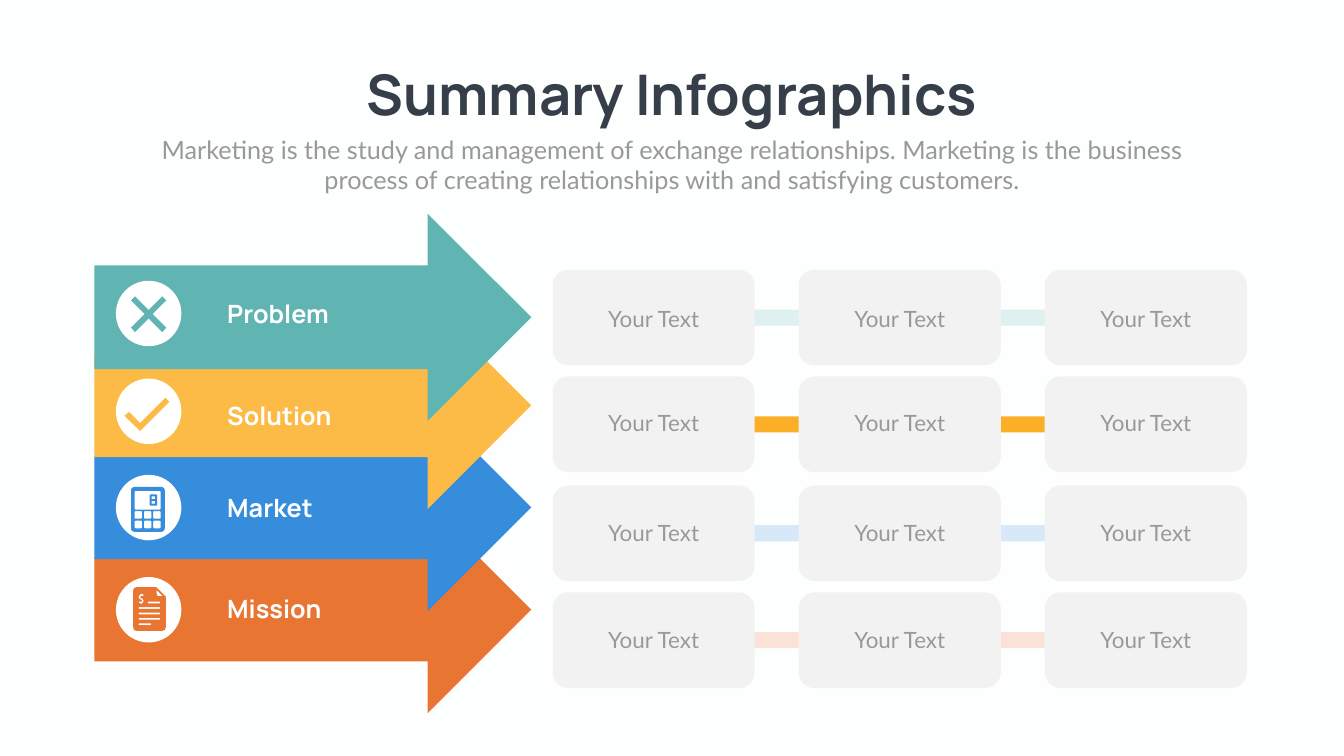
from math import cos, sin, pi
from pptx import Presentation
from pptx.dml.color import RGBColor
from pptx.enum.shapes import MSO_SHAPE
from pptx.enum.text import MSO_AUTO_SIZE, PP_ALIGN
from pptx.util import Cm, Pt

COLORS = {
    "back": "FDFFFE", "title": "353E49", "gray": "989998",
    "card": "F2F2F2", "white": "FFFFFF",
    "teal": "60B5B2", "teal bar": "DFF0F0",
    "amber": "FCBB47", "amber bar": "FBAF27",
    "blue": "358DDC", "blue bar": "D7E8F8",
    "orange": "E87532", "orange bar": "FAE3D6",
}
UNIT = Cm(2.54) / 1000  # icon points are drawn in tenths of a unit


class Deck:
    def __init__(self, slide):
        self.slide = slide
        self.title = ("Manrope", 80, "title", True)
        self.label = ("Manrope", 36, "white", True)
        self.lead = ("Lato", 36, "gray", False)
        self.note = ("Lato", 32, "gray", False)

    def color(self, name):
        return RGBColor.from_string(COLORS[name])

    def back(self, name):
        fill = self.slide.background.fill
        fill.solid()
        fill.fore_color.rgb = self.color(name)

    def paint(self, shape, name):
        shape.shadow.inherit = False
        shape.fill.solid()
        shape.fill.fore_color.rgb = self.color(name)
        shape.line.fill.background()

    def shape(self, kind, x, y, w, h, name):
        shape = self.slide.shapes.add_shape(kind, Cm(x), Cm(y), Cm(w), Cm(h))
        self.paint(shape, name)

    def text(self, words, x, y, w, h, style, align=PP_ALIGN.CENTER, wrap=True):
        frame = self.slide.shapes.add_textbox(Cm(x), Cm(y), Cm(w), Cm(h)).text_frame
        frame.word_wrap = wrap
        frame.auto_size = MSO_AUTO_SIZE.SHAPE_TO_FIT_TEXT
        para = frame.paragraphs[0]
        para.text = words
        para.alignment = align
        font = para.font
        font.name, size, name, font.bold = style
        font.size = Pt(size)
        font.color.rgb = self.color(name)

    def icon(self, x, y, loops, name):
        """Draw closed loops as one shape; inner loops become holes."""
        loops = [[(10 * a, 10 * b) for a, b in loop] for loop in loops]
        pen = self.slide.shapes.build_freeform(*loops[0][0], scale=UNIT)
        for loop in loops:
            if loop is not loops[0]:
                pen.move_to(*loop[0])
            pen.add_line_segments(loop[1:], close=True)
        self.paint(pen.convert_to_shape(Cm(x), Cm(y)), name)


def box(x, y, w, h, r):
    """Outline of a rectangle with corners of radius r."""
    mids = [(x + w - r, y + h - r), (x + r, y + h - r), (x + r, y + r), (x + w - r, y + r)]
    return [(a + r * cos(t), b + r * sin(t))
            for i, (a, b) in enumerate(mids)
            for t in [(i + k / 4) * pi / 2 for k in range(5)]]


# Icon outlines, measured from the corner of the disc
CROSS = [[(100, 39), (92, 31), (65, 58), (38, 31), (30, 39), (57, 66),
          (30, 93), (38, 102), (65, 75), (92, 102), (100, 93), (73, 66)]]
CHECK = [[(17, 74), (48, 104), (106, 46), (98, 38), (48, 88), (26, 66)]]
KEYS = [box(37 + 18.5 * i, 72 + 19 * j, 15, 15, 2) for j in range(2) for i in range(3)]
CALC = [box(30, 24, 67, 89, 7), box(37, 32, 52, 37, 2)] + KEYS
DIGIT = [box(67, 39, 15, 22, 2), box(71, 43, 7, 5, 0), box(71, 52, 7, 5, 0)]
PAGE = [(80, 20), (99, 39), (99, 99), (97, 105), (91, 107), (41, 107),
        (36, 105), (34, 99), (34, 27), (36, 22), (41, 20)]
FOLD = [(81, 26), (93, 38), (84, 38), (82, 37), (81, 34)]
DOLLAR = [(50, 45), (46.5, 43.5), (45, 40), (46, 36.5), (48, 35), (48, 34),
          (50, 33), (52, 34), (54, 34), (55, 36), (54, 38), (50, 38),
          (48, 40), (50, 42), (53.5, 43.5), (55, 47), (54, 50), (52, 52),
          (50, 54), (48, 52), (46, 52), (45, 50), (46, 49), (50, 49),
          (52, 47)]
SPANS = [(63, 88), (45, 88), (45, 88), (45, 88), (45, 70)]
LINES = [box(a, 49 + 10.75 * i, b - a, 3.5, 1.7) for i, (a, b) in enumerate(SPANS)]
FORM = [PAGE, FOLD, DOLLAR] + LINES

# Label, color, icon parts, then tops of arrow, label, disc, card and note
ROWS = [
    ("Problem", "teal", [CROSS], 10.77, 14.91, 14.15, 13.59, 15.27),
    ("Solution", "amber", [CHECK], 15.21, 20.07, 19.08, 18.97, 20.5),
    ("Market", "blue", [CALC, DIGIT], 20.35, 24.69, 23.93, 24.46, 26.04),
    ("Mission", "orange", [FORM], 25.5, 29.77, 29.08, 29.85, 31.42),
]
CARD_X, CARD_W, CARD_H, STEP = 27.84, 10.19, 4.83, 12.4
BAR_H, NOTE_W, DISC_X = 0.81, 8.33, 5.84


def main():
    show = Presentation()
    show.slide_width, show.slide_height = Cm(67.72), Cm(38.1)
    deck = Deck(show.slides.add_slide(show.slide_layouts[6]))
    deck.back("back")

    # Heading
    deck.text("Summary Infographics", 16.61, 2.9, 34.49, 3.68, deck.title, wrap=False)
    deck.text("Marketing is the study and management of exchange relationships. "
              "Marketing is the business process of creating relationships with "
              "and satisfying customers.", 7.42, 6.63, 52.88, 3.33, deck.lead)

    # Arrows, lowest first so that each overlaps the next one down
    for _, name, _, top, *_ in reversed(ROWS):
        deck.shape(MSO_SHAPE.RIGHT_ARROW, 4.75, top, 22.02, 10.44, name)

    for label, name, parts, _, label_y, disc_y, card_y, note_y in ROWS:
        # Label and icon
        deck.text(label, 11.2, label_y, 10.19, 1.8, deck.label, PP_ALIGN.LEFT)
        deck.shape(MSO_SHAPE.OVAL, DISC_X, disc_y, 3.3, 3.3, "white")
        for loops in parts:
            deck.icon(DISC_X, disc_y, loops, name)

        # Bar behind a row of cards
        deck.shape(MSO_SHAPE.RECTANGLE, 33.4, card_y + (CARD_H - BAR_H) / 2,
                   23.85, BAR_H, name + " bar")
        for i in range(3):
            x = CARD_X + i * STEP
            deck.shape(MSO_SHAPE.ROUNDED_RECTANGLE, x, card_y, CARD_W, CARD_H, "card")
            deck.text("Your Text", x + (CARD_W - NOTE_W) / 2, note_y, NOTE_W, 1.63, deck.note)

    show.save("out.pptx")


if __name__ == "__main__":
    main()
